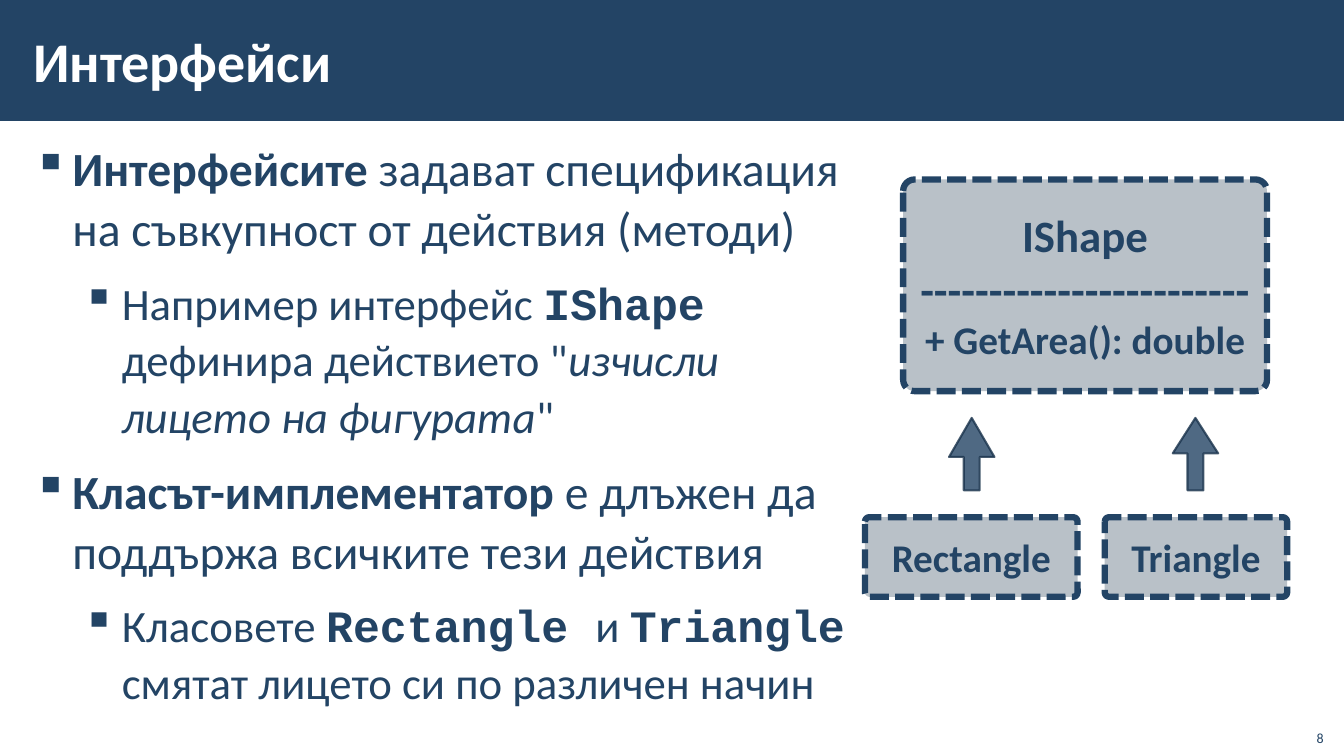
from lxml.etree import SubElement as Sub
from pptx import Presentation
from pptx.dml.color import RGBColor as Rgb
from pptx.enum.dml import MSO_LINE as Dash
from pptx.enum.shapes import MSO_SHAPE as Kind
from pptx.enum.text import MSO_ANCHOR as Anchor, MSO_AUTO_SIZE as Fit, PP_ALIGN as Align
from pptx.oxml.ns import qn
from pptx.util import Pt

NAVY = Rgb(0x23, 0x44, 0x65)
DARK = Rgb(0x1A, 0x33, 0x4C)
WHITE = Rgb(0xFF, 0xFF, 0xFF)

BOLD = {"bold": True}
CODE = {"bold": True, "name": "Courier New"}
SLANT = {"italic": True}
PLAIN = {}

POINTS = [
    (0, [("Интерфейсите", BOLD),
         (" задават спецификация на съвкупност от действия (методи)", PLAIN)]),
    (1, [("Например интерфейс ", PLAIN), ("IShape ", CODE),
         ("дефинира действието \"", PLAIN),
         ("изчисли лицето на фигурата", SLANT), ("\"", PLAIN)]),
    (0, [("Класът-имплементатор", BOLD),
         (" е длъжен да поддържа всичките тези действия", PLAIN)]),
    (1, [("Класовете ", PLAIN), ("Rectangle ", CODE), ("и ", PLAIN),
         ("Triangle ", CODE), ("смятат лицето си по различен начин", PLAIN)]),
]


def apply(item, values):
    for key, value in values.items():
        setattr(item, key, value)


def write(para, text, size, color=NAVY, **style):
    run = para.add_run()
    run.text = text
    apply(run.font, {"name": "Calibri", "size": Pt(size), **style})
    run.font.color.rgb = color


def frame(shape, anchor):
    body = shape.text_frame
    apply(body, {"word_wrap": True, "auto_size": Fit.NONE, "vertical_anchor": anchor,
                 "margin_left": Pt(8.5), "margin_right": Pt(8.5),
                 "margin_top": Pt(2.83), "margin_bottom": Pt(2.83)})
    return body


def fade(fill, share):
    Sub(fill[0], qn("a:alpha"), val=str(share * 1000))


def block(slide, kind, area, fill):
    shape = slide.shapes.add_shape(kind, *map(Pt, area))
    shape.shadow.inherit = False
    shape.fill.solid()
    shape.fill.fore_color.rgb = fill
    return shape


def banner(slide):
    bar = block(slide, Kind.RECTANGLE, (0, 0, 960, 86.4), NAVY)
    bar.line.fill.background()


def title(slide, text):
    head = slide.shapes.title
    apply(head, {"left": Pt(15.1), "top": Pt(7.9), "width": Pt(765.4), "height": Pt(69.8)})
    para = frame(head, Anchor.MIDDLE).paragraphs[0]
    para.alignment = Align.LEFT
    write(para, text, 40, WHITE, bold=True)
    tree = slide.shapes._spTree
    tree.remove(head._element)
    tree.append(head._element)


def bullets(slide, points):
    box = slide.shapes.add_textbox(Pt(15.1), Pt(94.3), Pt(599.8), Pt(435.6))
    body = frame(box, Anchor.TOP)
    for index, (level, runs) in enumerate(points):
        para = body.add_paragraph() if index else body.paragraphs[0]
        props = para._p.get_or_add_pPr()
        props.set("marL", str(Pt(63.4 if level else 28.1)))
        props.set("indent", str(-Pt(28.1)))
        Sub(props, qn("a:buChar"), char="▪")
        apply(para, {"level": level, "line_spacing": 1.05,
                     "space_before": Pt(6 if index else 0), "space_after": Pt(6)})
        for text, style in runs:
            write(para, text, 32 if level else 34, **style)


def card(slide, area, lines):
    shape = block(slide, Kind.ROUNDED_RECTANGLE, area, DARK)
    shape.adjustments[0] = 0.054
    fade(shape._element.spPr.find(qn("a:solidFill")), 30)
    shape.line.color.rgb = NAVY
    apply(shape.line, {"width": Pt(4.5), "dash_style": Dash.SQUARE_DOT})
    shape._element.spPr.find(qn("a:ln")).find(qn("a:prstDash")).set("val", "sysDash")
    body = shape.text_frame
    apply(body, {"word_wrap": True, "vertical_anchor": Anchor.MIDDLE})
    for index, (text, size) in enumerate(lines):
        para = body.add_paragraph() if index else body.paragraphs[0]
        para.alignment = Align.CENTER
        write(para, text, size, bold=True)


def arrow(slide, left, tip):
    shape = block(slide, Kind.RIGHT_ARROW, (left, 308.2, 51.8, 32.4), NAVY)
    shape.rotation = 270
    shape.adjustments[0] = 0.35
    shape.adjustments[1] = tip
    shape.line.color.rgb = DARK
    shape.line.width = Pt(1.5)
    props = shape._element.spPr
    for owner in (props, props.find(qn("a:ln"))):
        fade(owner.find(qn("a:solidFill")), 80)


def number(slide, text):
    box = slide.shapes.add_textbox(Pt(925.2), Pt(512.6), Pt(28.8), Pt(23))
    para = frame(box, Anchor.BOTTOM).paragraphs[0]
    para.alignment = Align.RIGHT
    write(para, text, 10)


def main():
    deck = Presentation()
    apply(deck, {"slide_width": Pt(960), "slide_height": Pt(540)})
    slide = deck.slides.add_slide(deck.slide_layouts[5])
    banner(slide)
    number(slide, "8")
    bullets(slide, POINTS)
    title(slide, "Интерфейси")
    card(slide, (645.1, 128.2, 259.9, 151.2),
         [("IShape", 32), ("-" * 24, 32), ("+ GetArea(): double", 28)])
    for name, left, width, start, tip in (("Rectangle", 617.8, 151.9, 668.2, 0.86),
                                          ("Triangle", 789.1, 130.3, 828, 0.78)):
        card(slide, (left, 369.4, width, 56.9), [(name, 28)])
        arrow(slide, start, tip)
    deck.save("out.pptx")


if __name__ == "__main__":
    main()
